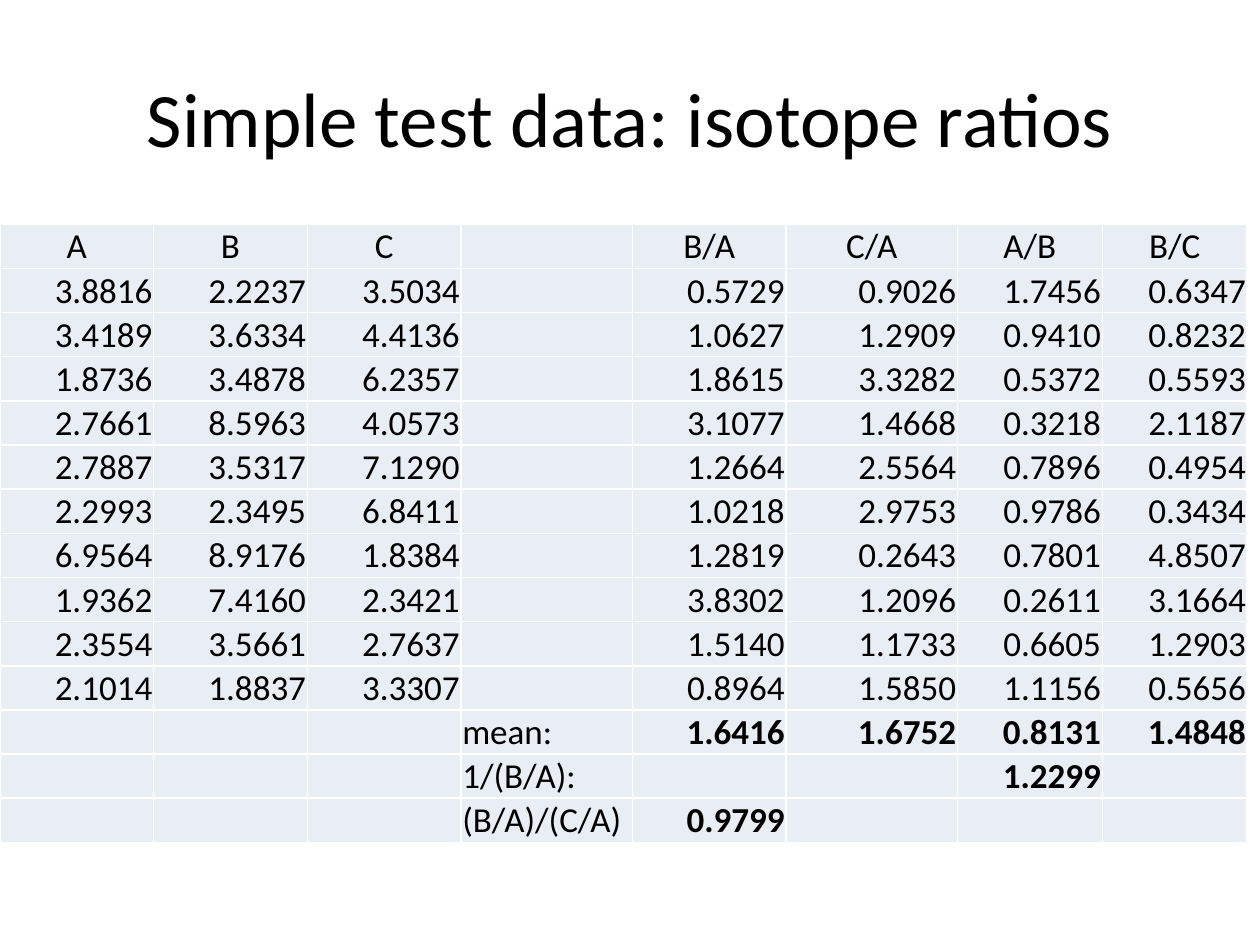
from lxml import etree
from pptx import Presentation
from pptx.dml.color import RGBColor
from pptx.enum import text
from pptx.oxml import ns
from pptx.util import Inches, Pt

FONT = "Calibri"
BLACK, WHITE, PALE = "000000", "FFFFFF", "E9EDF4"
WIDTHS = [1.22, 1.22, 1.22, 1.36, 1.22, 1.36, 1.15, 1.15]
HEAD = "A|B|C||B/A|C/A|A/B|B/C"
DATA = """\
3.8816|2.2237|3.5034||0.5729|0.9026|1.7456|0.6347
3.4189|3.6334|4.4136||1.0627|1.2909|0.9410|0.8232
1.8736|3.4878|6.2357||1.8615|3.3282|0.5372|0.5593
2.7661|8.5963|4.0573||3.1077|1.4668|0.3218|2.1187
2.7887|3.5317|7.1290||1.2664|2.5564|0.7896|0.4954
2.2993|2.3495|6.8411||1.0218|2.9753|0.9786|0.3434
6.9564|8.9176|1.8384||1.2819|0.2643|0.7801|4.8507
1.9362|7.4160|2.3421||3.8302|1.2096|0.2611|3.1664
2.3554|3.5661|2.7637||1.5140|1.1733|0.6605|1.2903
2.1014|1.8837|3.3307||0.8964|1.5850|1.1156|0.5656"""
SUMMARY = """\
|||mean:|1.6416|1.6752|0.8131|1.4848
|||1/(B/A):|||1.2299|
|||(B/A)/(C/A)|0.9799|||"""
LABEL = 3  # column holding the summary labels


def color(code):
    return RGBColor.from_string(code)


def style(para, size, align, bold=False):
    para.alignment = align
    for run in para.runs:
        font = run.font
        font.name, font.size, font.bold = FONT, Pt(size), bold
        font.color.rgb = color(BLACK)


def add_title(slide, words, left, top, width, height):
    title = slide.shapes.title
    title.left, title.top = Inches(left), Inches(top)
    title.width, title.height = Inches(width), Inches(height)
    frame = title.text_frame
    frame.text = words
    frame.vertical_anchor = text.MSO_ANCHOR.MIDDLE
    style(frame.paragraphs[0], 44, text.PP_ALIGN.CENTER)


def add_borders(cell):
    props = cell._tc.get_or_add_tcPr()
    for spot, side in enumerate(("lnL", "lnR", "lnT", "lnB")):
        line = etree.Element(ns.qn("a:" + side), w=str(Pt(1)))
        fill = etree.SubElement(line, ns.qn("a:solidFill"))
        etree.SubElement(fill, ns.qn("a:srgbClr"), val=WHITE)
        props.insert(spot, line)


def fill_cell(cell, words, align, bold):
    cell.margin_left = cell.margin_right = cell.margin_top = Inches(0.01)
    cell.margin_bottom = 0
    cell.vertical_anchor = text.MSO_ANCHOR.BOTTOM
    cell.fill.solid()
    cell.fill.fore_color.rgb = color(PALE)
    add_borders(cell)
    if words:
        cell.text_frame.text = words
        style(cell.text_frame.paragraphs[0], 20, align, bold)


def add_ratios(slide, left, top, width, height):
    data, summary = DATA.split("\n"), SUMMARY.split("\n")
    lines = [HEAD] + data + summary
    frame = slide.shapes.add_table(len(lines), len(WIDTHS), Inches(left),
                                   Inches(top), Inches(width), Inches(height))
    table = frame.table
    table.first_row = table.horz_banding = False
    for col, wide in zip(table.columns, WIDTHS):
        col.width = Inches(wide)
    for r, line in enumerate(lines):
        table.rows[r].height = Inches(0.31)
        for c, words in enumerate(line.split("|")):
            if r == 0:
                align = text.PP_ALIGN.CENTER
            elif c == LABEL:
                align = text.PP_ALIGN.LEFT
            else:
                align = text.PP_ALIGN.RIGHT
            bold = r > len(data) and c != LABEL
            fill_cell(table.cell(r, c), words, align, bold)
    frame.height = Inches(height)


def main():
    deck = Presentation()
    deck.slide_width, deck.slide_height = Inches(10), Inches(7.5)
    slide = deck.slides.add_slide(deck.slide_layouts[5])
    add_title(slide, "Simple test data: isotope ratios", 0.5, 0.3, 9, 1.25)
    add_ratios(slide, 0, 1.78, 9.88, 4.81)
    deck.save("out.pptx")


if __name__ == "__main__":
    main()
